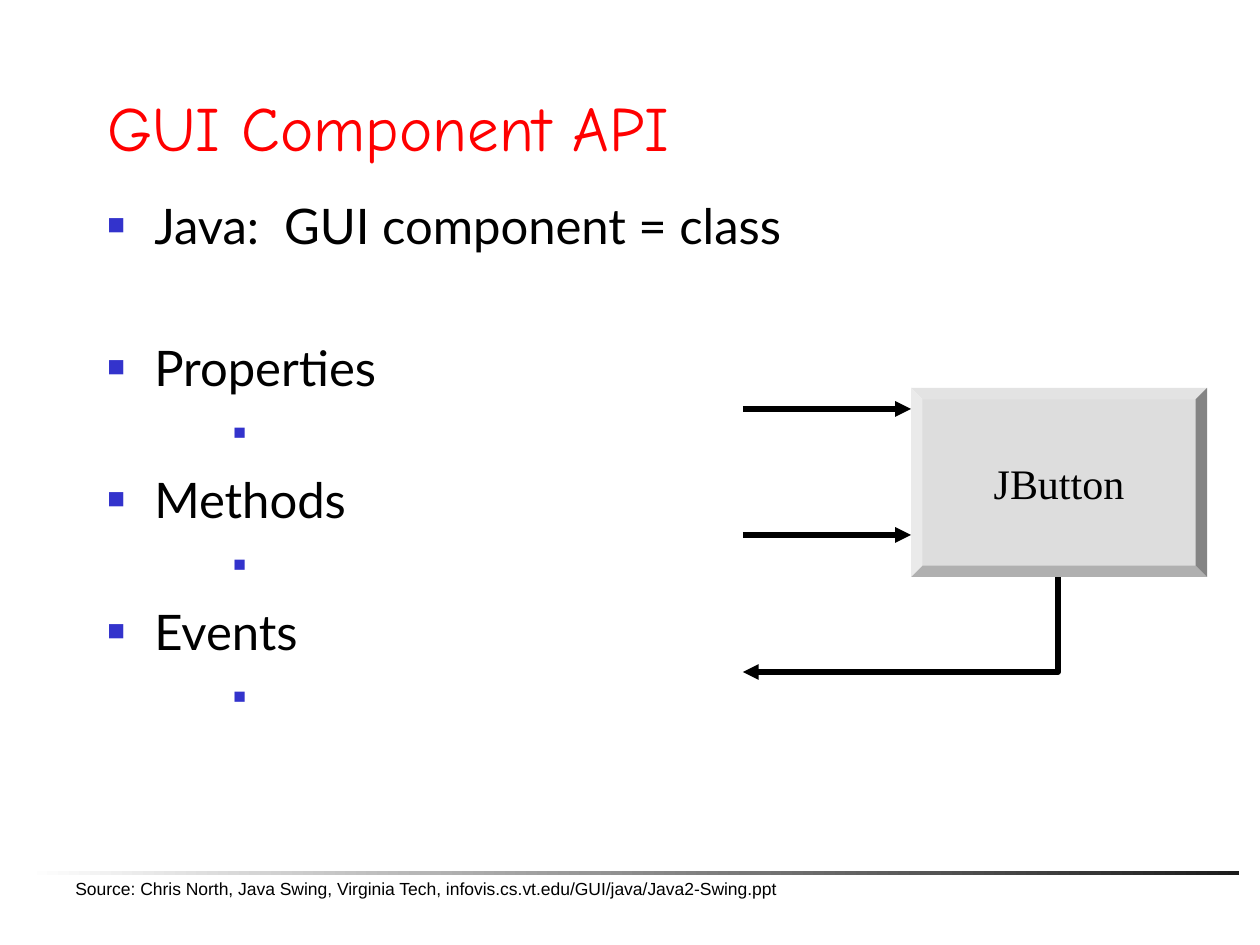
"""Build the GUI Component API slide."""
from lxml import etree
from pptx import Presentation
from pptx.dml.color import RGBColor
from pptx.enum.shapes import MSO_CONNECTOR, MSO_SHAPE
from pptx.enum.text import MSO_ANCHOR, PP_ALIGN
from pptx.oxml.ns import qn
from pptx.util import Pt

EMU_PER_PX = 914400 / 126
BEVEL, RECTANGLE = MSO_SHAPE.BEVEL, MSO_SHAPE.RECTANGLE
STRAIGHT = MSO_CONNECTOR.STRAIGHT
TOP, MIDDLE, BOTTOM = MSO_ANCHOR.TOP, MSO_ANCHOR.MIDDLE, MSO_ANCHOR.BOTTOM
LEFT, CENTER = PP_ALIGN.LEFT, PP_ALIGN.CENTER
BLACK, RED, BLUE = "000000", "FF0000", "3333CC"
MEMBERS = ["Properties", "Methods", "Events"]


def px(length):
    return round(length * EMU_PER_PX)


def color(hex_value):
    return RGBColor.from_string(hex_value)


def write(paragraph, text, *, size, font, hex_color=BLACK, align=LEFT, before=0):
    paragraph.text = text
    paragraph.alignment = align
    paragraph.space_before = Pt(before)
    paragraph.font.size = Pt(size)
    paragraph.font.name = font
    paragraph.font.color.rgb = color(hex_color)


def add_frame(slide, box, anchor=TOP, wrap=True):
    frame = slide.shapes.add_textbox(*map(px, box)).text_frame
    frame.word_wrap = wrap
    frame.vertical_anchor = anchor
    return frame


def add_bullet(paragraph, indent, hanging, percent):
    properties = paragraph._p.get_or_add_pPr()
    properties.set("marL", str(px(indent)))
    properties.set("indent", str(-px(hanging)))
    bullet_color = etree.SubElement(properties, qn("a:buClr"))
    etree.SubElement(bullet_color, qn("a:srgbClr"), val=BLUE)
    etree.SubElement(properties, qn("a:buSzPct"), val=str(percent * 1000))
    etree.SubElement(properties, qn("a:buFont"), typeface="Arial")
    etree.SubElement(properties, qn("a:buChar"), char="■")


def add_members(slide):
    frame = add_frame(slide, (95, 189, 1139, 672))
    topic = frame.paragraphs[0]
    add_bullet(topic, 47, 47, 60)
    write(topic, "Java:  GUI component = class", size=28, font="Lato")
    for index, member in enumerate(MEMBERS):
        heading = frame.add_paragraph()
        add_bullet(heading, 47, 47, 60)
        write(heading, member, size=28, font="Lato", before=7 if index else 47.6)
        detail = frame.add_paragraph()
        detail.level = 2
        add_bullet(detail, 158, 32, 50)
        write(detail, " ", size=24, font="Lato", before=6)


def style_arrow(arrow):
    arrow.line.color.rgb = color(BLACK)
    arrow.line.width = Pt(3)
    etree.SubElement(arrow.line._get_or_add_ln(), qn("a:tailEnd"), type="triangle")


def add_input_arrow(slide, y):
    arrow = slide.shapes.add_connector(STRAIGHT, *map(px, (743, y, 911, y)))
    style_arrow(arrow)
    etree.SubElement(arrow._element.spPr, qn("a:effectLst"))


def add_event_arrow(slide):
    builder = slide.shapes.build_freeform(1058, 577, scale=EMU_PER_PX)
    builder.add_line_segments([(1058, 672), (743, 672)], close=False)
    arrow = builder.convert_to_shape()
    arrow.fill.background()
    style_arrow(arrow)
    arrow.shadow.inherit = False


def add_button(slide):
    button = slide.shapes.add_shape(BEVEL, *map(px, (911, 388, 296, 189)))
    button.adjustments[0] = 0.06
    button.fill.solid()
    button.fill.fore_color.rgb = color("DDDDDD")
    button.line.fill.background()
    button.shadow.inherit = False
    frame = button.text_frame
    frame.word_wrap = False
    frame.vertical_anchor = MIDDLE
    write(frame.paragraphs[0], "JButton", size=24, font="Times New Roman", align=CENTER)


def add_footer_rule(slide):
    rule = slide.shapes.add_shape(RECTANGLE, *map(px, (26, 871, 1213, 4)))
    rule.fill.gradient()
    rule.fill.gradient_angle = 0
    for stop, shade in zip(rule.fill.gradient_stops, ("FFFFFF", "1C1C1C")):
        stop.color.rgb = color(shade)
    rule.line.fill.background()
    rule.shadow.inherit = False


def main():
    deck = Presentation()
    deck.slide_width, deck.slide_height = px(1260), px(945)
    slide = deck.slides.add_slide(deck.slide_layouts[6])
    add_footer_rule(slide)
    title = add_frame(slide, (95, 53, 1074, 117), anchor=BOTTOM)
    write(title.paragraphs[0], "GUI Component API", size=36, font="Comic Neue", hex_color=RED)
    add_members(slide)
    add_button(slide)
    for y in (409, 535):
        add_input_arrow(slide, y)
    add_event_arrow(slide)
    source = add_frame(slide, (63, 872, 733, 34), wrap=False)
    write(
        source.paragraphs[0],
        "Source: Chris North, Java Swing, Virginia Tech, infovis.cs.vt.edu/GUI/java/Java2-Swing.ppt",
        size=10,
        font="Arial",
    )
    deck.save("out.pptx")


if __name__ == "__main__":
    main()
